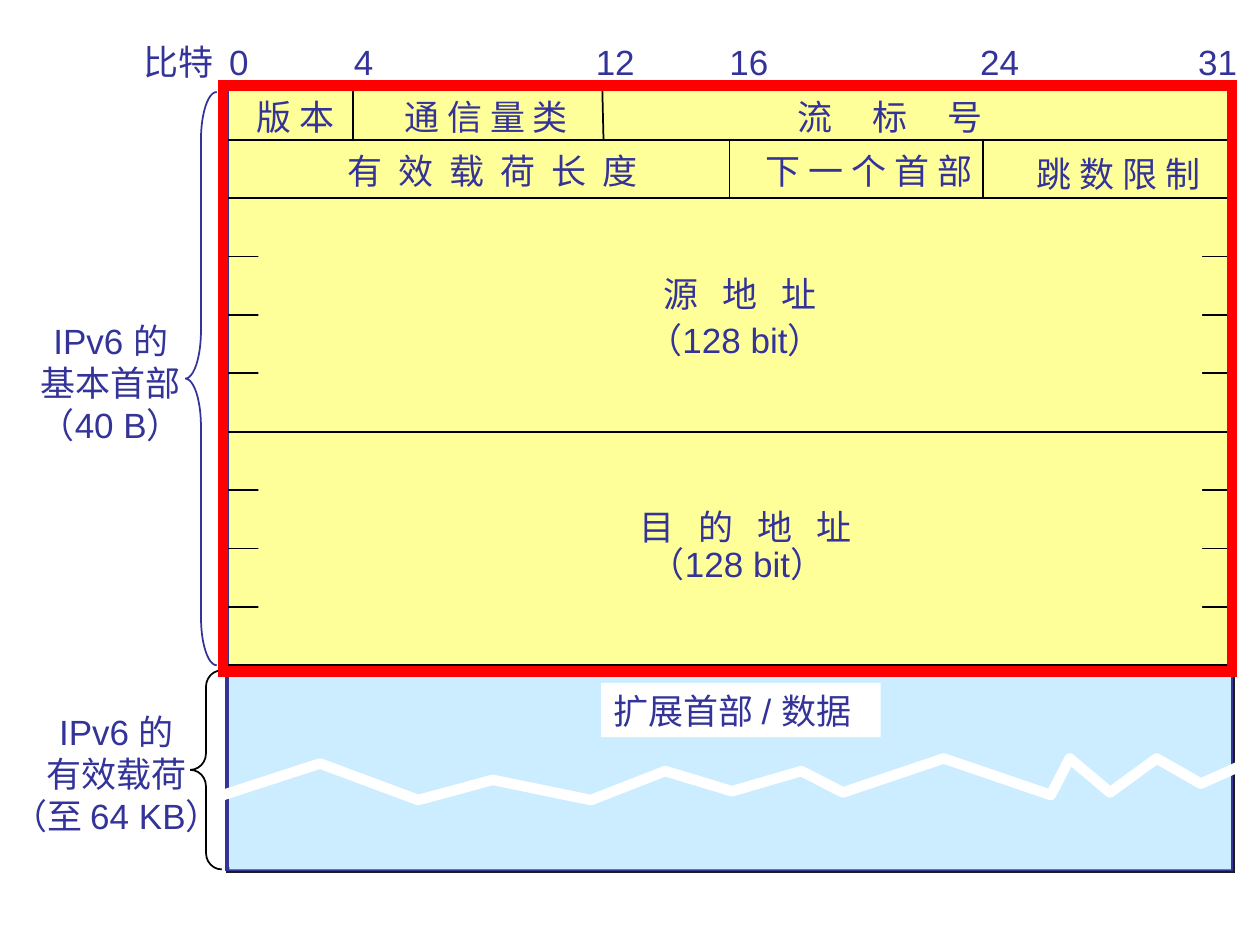
import dataclasses

import lxml.etree
import pptx
import pptx.dml.color
import pptx.enum.shapes
import pptx.enum.text
import pptx.oxml.ns
import pptx.slide
import pptx.util

Inches = pptx.util.Inches
Pt = pptx.util.Pt
qn = pptx.oxml.ns.qn
SHAPES = pptx.enum.shapes.MSO_SHAPE
ALIGN = pptx.enum.text.PP_ALIGN
AUTO_SIZE = pptx.enum.text.MSO_AUTO_SIZE


@dataclasses.dataclass(frozen=True)
class Theme:
    font: str = "Arial"
    text_size: float = 20
    space_width: float = 4.6
    ink: str = "333399"
    rule: str = "000000"
    header: str = "FFFF99"
    payload: str = "CCECFF"
    paper: str = "FFFFFF"
    highlight: str = "FF0000"
    shadow: str = "1C1C1C"
    thin: float = 1
    medium: float = 2.25
    thick: float = 6


def color(value):
    return pptx.dml.color.RGBColor.from_string(value)


@dataclasses.dataclass
class HeaderDiagram:
    slide: pptx.slide.Slide
    theme: Theme

    def outline(self, shape, line, width):
        if line is None:
            shape.line.fill.background()
        else:
            shape.line.color.rgb = color(line)
            shape.line.width = Pt(width)

    def shape(self, kind, left, top, width, height, fill=None, line=None, line_width=1):
        shape = self.slide.shapes.add_shape(
            kind, Inches(left), Inches(top), Inches(width), Inches(height))
        shape.shadow.inherit = False
        if fill is None:
            shape.fill.background()
        else:
            shape.fill.solid()
            shape.fill.fore_color.rgb = color(fill)
        self.outline(shape, line, line_width)
        if line is not None:
            lxml.etree.SubElement(shape.line._get_or_add_ln(), qn("a:miter"), lim="800000")
        return shape

    def box(self, left, top, width, height, **style):
        return self.shape(SHAPES.RECTANGLE, left, top, width, height, **style)

    def drop_shadow(self, shape, distance, degrees):
        effects = shape._element.spPr.find(qn("a:effectLst"))
        shadow = lxml.etree.SubElement(
            effects, qn("a:outerShdw"), dist=str(Pt(distance)),
            dir=str(degrees * 60000), algn="ctr", rotWithShape="0")
        lxml.etree.SubElement(shadow, qn("a:srgbClr"), val=self.theme.shadow)

    def brace(self, left, top, height, line, curve):
        shape = self.shape(SHAPES.LEFT_BRACE, left, top, 0.25, height,
                           line=line, line_width=self.theme.thin)
        shape.adjustments[0] = curve

    def rule(self, x1, y1, x2, y2):
        connector = self.slide.shapes.add_connector(
            pptx.enum.shapes.MSO_CONNECTOR.STRAIGHT,
            Inches(x1), Inches(y1), Inches(x2), Inches(y2))
        self.outline(connector, self.theme.rule, self.theme.thin)
        lxml.etree.SubElement(connector._element.spPr, qn("a:effectLst"))

    def zigzag(self, points):
        start, *rest = [(Inches(x), Inches(y)) for x, y in points]
        builder = self.slide.shapes.build_freeform(*start, scale=1.0)
        builder.add_line_segments(rest, close=False)
        shape = builder.convert_to_shape()
        shape.shadow.inherit = False
        shape.fill.background()
        self.outline(shape, self.theme.paper, self.theme.thick)

    def text(self, left, top, width, *lines, fill=None, align=ALIGN.LEFT):
        height = 0.43 if len(lines) == 1 else 1.1
        shape = self.slide.shapes.add_textbox(
            Inches(left), Inches(top), Inches(width), Inches(height))
        if fill:
            shape.fill.solid()
            shape.fill.fore_color.rgb = color(fill)
        frame = shape.text_frame
        frame.word_wrap = False
        frame.auto_size = AUTO_SIZE.SHAPE_TO_FIT_TEXT
        frame.text = "\n".join(lines)
        for paragraph in frame.paragraphs:
            paragraph.alignment = align
            paragraph.font.name = self.theme.font
            paragraph.font.size = Pt(self.theme.text_size)
            paragraph.font.color.rgb = color(self.theme.ink)
        return frame

    def field(self, left, top, width, name, gap):
        frame = self.text(left, top, width + 0.15, name)
        frame.word_wrap = True
        frame.auto_size = AUTO_SIZE.NONE
        if gap > 1:
            spacing = round((gap - 1) * self.theme.space_width * 50)
            frame.paragraphs[0].runs[0]._r.get_or_add_rPr().set("spc", str(spacing))


def main():
    presentation = pptx.Presentation()
    presentation.slide_width = Inches(10)
    presentation.slide_height = Inches(7.5)
    theme = Theme()
    diagram = HeaderDiagram(
        presentation.slides.add_slide(presentation.slide_layouts[6]), theme)

    packet = diagram.box(1.8, 0.69, 7.97, 6.21, fill=theme.header,
                         line=theme.ink, line_width=theme.medium)
    diagram.drop_shadow(packet, 1.4, 45)

    first_row, last_row, row_count = 1.11, 5.28, 9
    row_height = (last_row - first_row) / row_count
    for row in range(row_count + 1):
        y = first_row + row * row_height
        diagram.rule(1.81, y, 9.79, y)
    for top in (1.88, 3.73):
        diagram.box(2.05, top, 7.49, 1.24, fill=theme.header)
    for x1, top, x2, bottom in ((2.8, 0.69, 2.8, 1.11), (4.78, 0.69, 4.79, 1.11),
                                (5.79, 1.11, 5.79, 1.57), (7.8, 1.11, 7.8, 1.57)):
        diagram.rule(x1, top, x2, bottom)

    for left, width, bit in ((1.04, 0.76, "比特"), (1.72, 0.35, "0"), (2.71, 0.35, "4"),
                             (4.63, 0.51, "12"), (5.69, 0.51, "16"),
                             (7.68, 0.51, "24"), (9.41, 0.51, "31")):
        diagram.text(left, 0.27, width, bit)

    for left, top, width, name, gap in (
            (1.94, 0.71, 0.82, "版 本", 1),
            (3.11, 0.71, 1.5, "通 信 量 类", 1),
            (6.23, 0.71, 1.66, "流 标 号", 5),
            (2.66, 1.14, 2.49, "有 效 载 荷 长 度", 2),
            (5.98, 1.14, 1.84, "下 一 个 首 部", 1),
            (8.13, 1.16, 1.5, "跳 数 限 制", 1),
            (5.17, 2.11, 1.41, "源 地 址", 3),
            (5.04, 2.48, 1.72, "（128 bit）", 1),
            (4.98, 3.96, 1.87, "目 的 地 址", 3),
            (5.06, 4.26, 1.72, "（128 bit）", 1)):
        diagram.field(left, top, width, name, gap)

    diagram.box(1.82, 5.3, 7.95, 1.6, fill=theme.payload)
    diagram.text(4.77, 5.42, 2.22, "扩展首部 / 数据", fill=theme.paper)
    diagram.zigzag([
        (1.71, 6.33), (2.54, 6.06), (3.32, 6.35), (3.91, 6.19), (4.69, 6.35), (5.28, 6.12),
        (5.81, 6.28), (6.36, 6.12), (6.69, 6.29), (7.49, 6.02), (8.34, 6.31), (8.49, 6.02),
        (8.81, 6.29), (9.18, 6.02), (9.53, 6.22), (10, 6.01)])

    diagram.brace(1.47, 0.73, 4.55, theme.ink, 1.52)
    diagram.text(0.15, 2.49, 1.46, "IPv6 的", "基本首部", "（40 B）", align=ALIGN.CENTER)
    diagram.brace(1.51, 5.32, 1.58, theme.rule, 0.52)
    diagram.text(-0.07, 5.59, 1.99, "IPv6 的", "有效载荷", "（至 64 KB）", align=ALIGN.CENTER)
    diagram.box(1.77, 0.68, 8.01, 4.65, line=theme.highlight, line_width=theme.thick)

    presentation.save("out.pptx")


if __name__ == "__main__":
    main()
